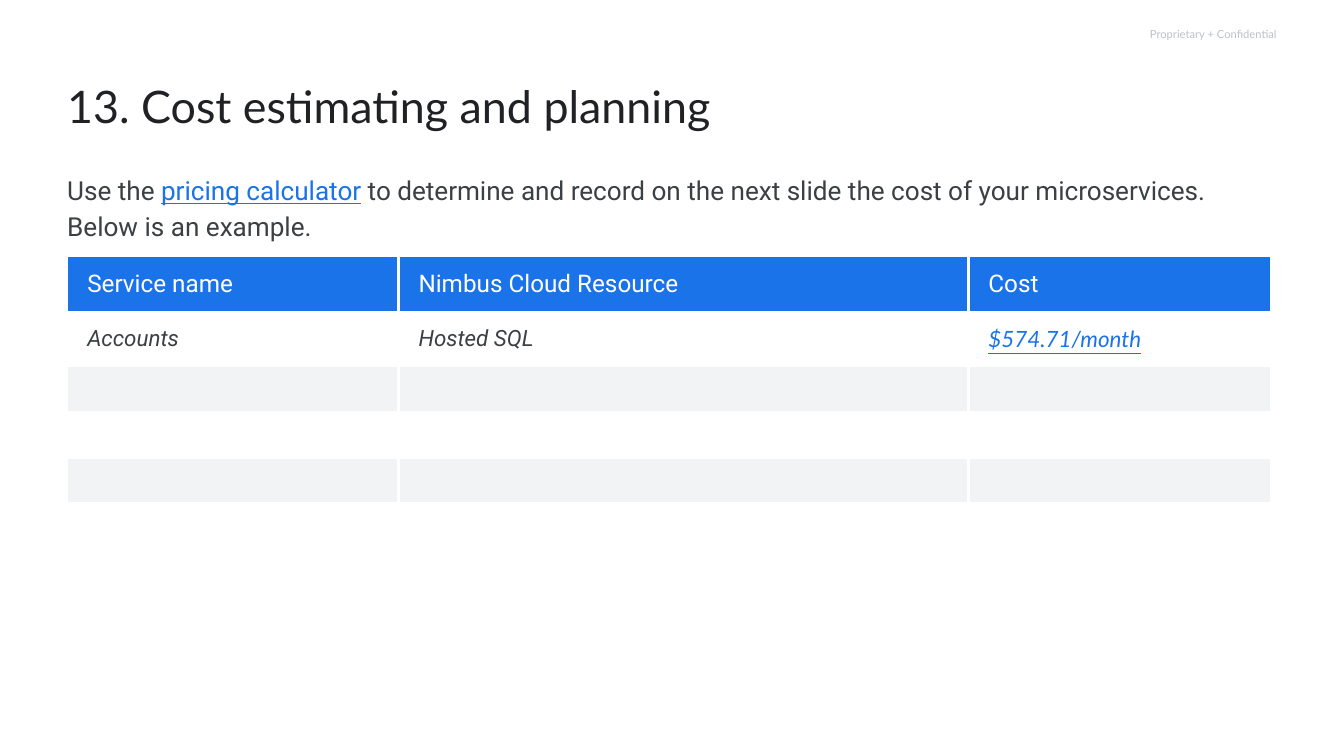
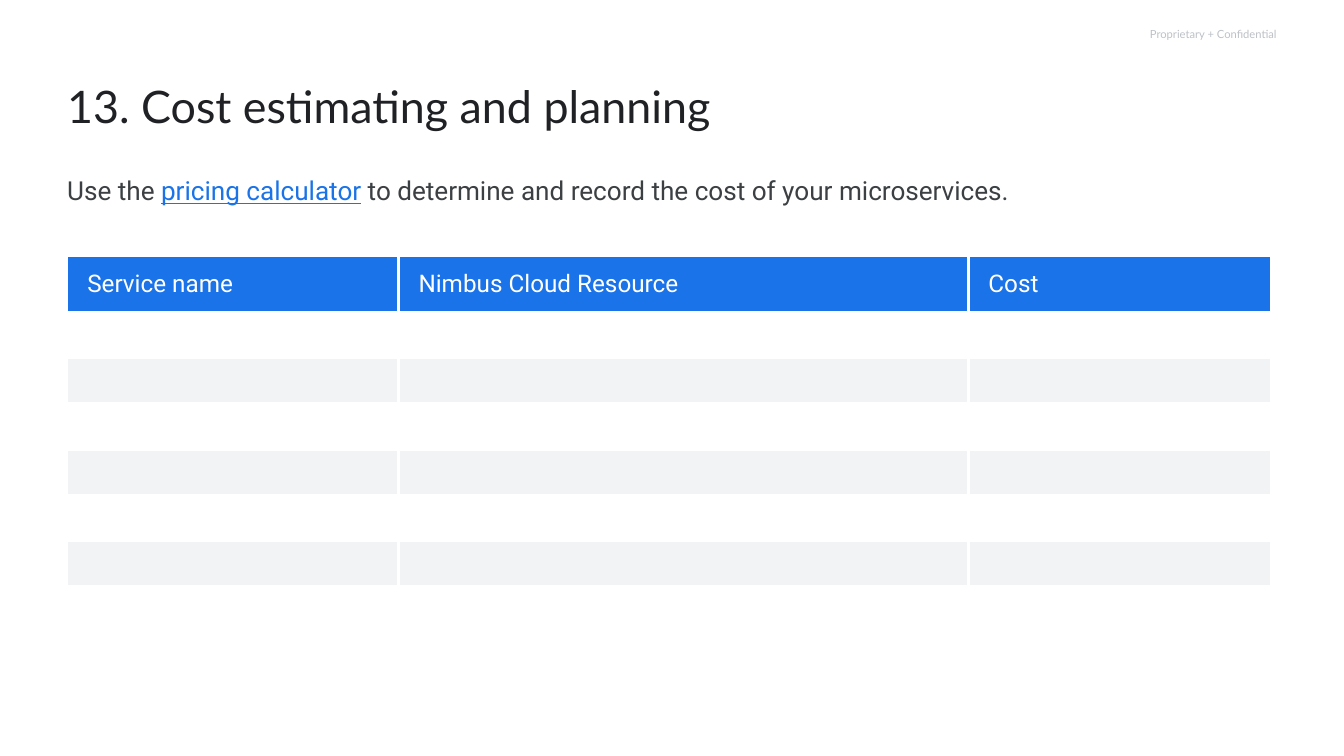
import pptx
import pptx.dml.color
import pptx.enum.text
import pptx.oxml
import pptx.oxml.ns
import pptx.util
from pptx.util import Cm

COLORS = {
    "white": "FFFFFF",
    "blue": "1A73E8",
    "band": "F1F3F4",
    "title": "202124",
    "body": "3C4043",
    "notice": "BDC1C6",
}
LEFT = Cm(2.54)
COLUMN_WIDTHS = [Cm(12.52), Cm(21.54), Cm(11.46)]
HEADINGS = ["Service name", "Nimbus Cloud Resource", "Cost"]
HEADER_HEIGHT = Cm(2.08)
EXAMPLE_HEIGHT = Cm(2.03)
EMPTY_HEIGHT = Cm(1.73)
BLANK_LAYOUT = 6


def rgb(name):
    return pptx.dml.color.RGBColor.from_string(COLORS[name])


def add_run(paragraph, text, font="Roboto", size=28, color="body", italic=False, underline=False):
    run = paragraph.add_run()
    run.text = text
    run.font.name = font
    run.font.size = pptx.util.Pt(size)
    run.font.color.rgb = rgb(color)
    run.font.italic = italic
    run.font.underline = underline


def add_text_box(slide, left, top, width, height, right_inset=0):
    frame = slide.shapes.add_textbox(left, top, width, height).text_frame
    frame.word_wrap = True
    frame.margin_left = frame.margin_top = frame.margin_bottom = 0
    frame.margin_right = right_inset
    return frame


def add_notice(slide):
    frame = add_text_box(slide, Cm(37.57), 0, Cm(10.69), Cm(2.57))
    frame.vertical_anchor = pptx.enum.text.MSO_ANCHOR.MIDDLE
    paragraph = frame.paragraphs[0]
    paragraph.alignment = pptx.enum.text.PP_ALIGN.RIGHT
    add_run(paragraph, "Proprietary + Confidential", font="Lato", size=12, color="notice")


def add_title(slide, text):
    frame = add_text_box(slide, LEFT, Cm(2.57), Cm(45.14), Cm(5.56), right_inset=Cm(0.51))
    paragraph = frame.paragraphs[0]
    paragraph.line_spacing = 1.2
    add_run(paragraph, text, font="Lato", size=48, color="title")


def add_instruction(slide, task, height):
    frame = add_text_box(slide, LEFT, Cm(6.43), Cm(43.38), height)
    paragraph = frame.paragraphs[0]
    paragraph.line_spacing = 1.15
    paragraph.space_after = pptx.util.Pt(16)
    add_run(paragraph, "Use the ")
    add_run(paragraph, "pricing calculator", color="blue", underline=True)
    add_run(paragraph, " " + task)


def set_borders(cell):
    properties = cell._tc.get_or_add_tcPr()
    for side in ("lnL", "lnR", "lnT", "lnB"):
        properties.append(pptx.oxml.parse_xml(
            f'<a:{side} {pptx.oxml.ns.nsdecls("a")} w="{pptx.util.Pt(3)}"><a:solidFill>'
            f'<a:srgbClr val="{COLORS["white"]}"/></a:solidFill></a:{side}>'))


def set_fill(cell, color):
    if color:
        cell.fill.solid()
        cell.fill.fore_color.rgb = rgb(color)
    else:
        cell.fill.background()


def write_cell(cell, text, **text_format):
    cell.margin_left = Cm(0.76)
    cell.margin_top = cell.margin_right = cell.margin_bottom = Cm(0.51)
    add_run(cell.text_frame.paragraphs[0], text, **text_format)


def add_cost_table(slide, row_count, example=()):
    heights = [HEADER_HEIGHT] + [EMPTY_HEIGHT] * (row_count - 1)
    if example:
        heights[1] = EXAMPLE_HEIGHT
    table = slide.shapes.add_table(row_count, len(HEADINGS), LEFT, Cm(9.68),
                                   sum(COLUMN_WIDTHS), sum(heights)).table
    table.first_row = False
    table.horz_banding = False
    for column, width in zip(table.columns, COLUMN_WIDTHS):
        column.width = width
    for index, (row, height) in enumerate(zip(table.rows, heights)):
        row.height = height
        color = "blue" if index == 0 else "band" if index % 2 == 0 else None
        for cell in row.cells:
            set_borders(cell)
            set_fill(cell, color)
    for column, heading in enumerate(HEADINGS):
        write_cell(table.cell(0, column), heading, size=26, color="white")
    for column, (text, text_format) in enumerate(example):
        write_cell(table.cell(1, column), text, size=24, italic=True, **text_format)


def add_cost_slide(presentation, task, task_height, row_count, example=()):
    slide = presentation.slides.add_slide(presentation.slide_layouts[BLANK_LAYOUT])
    add_notice(slide)
    add_title(slide, "13. Cost estimating and planning")
    add_cost_table(slide, row_count, example)
    add_instruction(slide, task, task_height)


def main():
    presentation = pptx.Presentation()
    presentation.slide_width = Cm(50.8)
    presentation.slide_height = Cm(28.58)
    example = [
        ("Accounts", {}),
        ("Hosted SQL", {}),
        ("$574.71/month", {"font": "Lato", "color": "blue", "underline": True}),
    ]
    add_cost_slide(
        presentation,
        "to determine and record on the next slide the cost of your microservices. "
        "Below is an example.",
        Cm(2.57), 6, example)
    add_cost_slide(
        presentation,
        "to determine and record the cost of your microservices.",
        Cm(1.19), 7)
    presentation.save("out.pptx")


if __name__ == "__main__":
    main()
